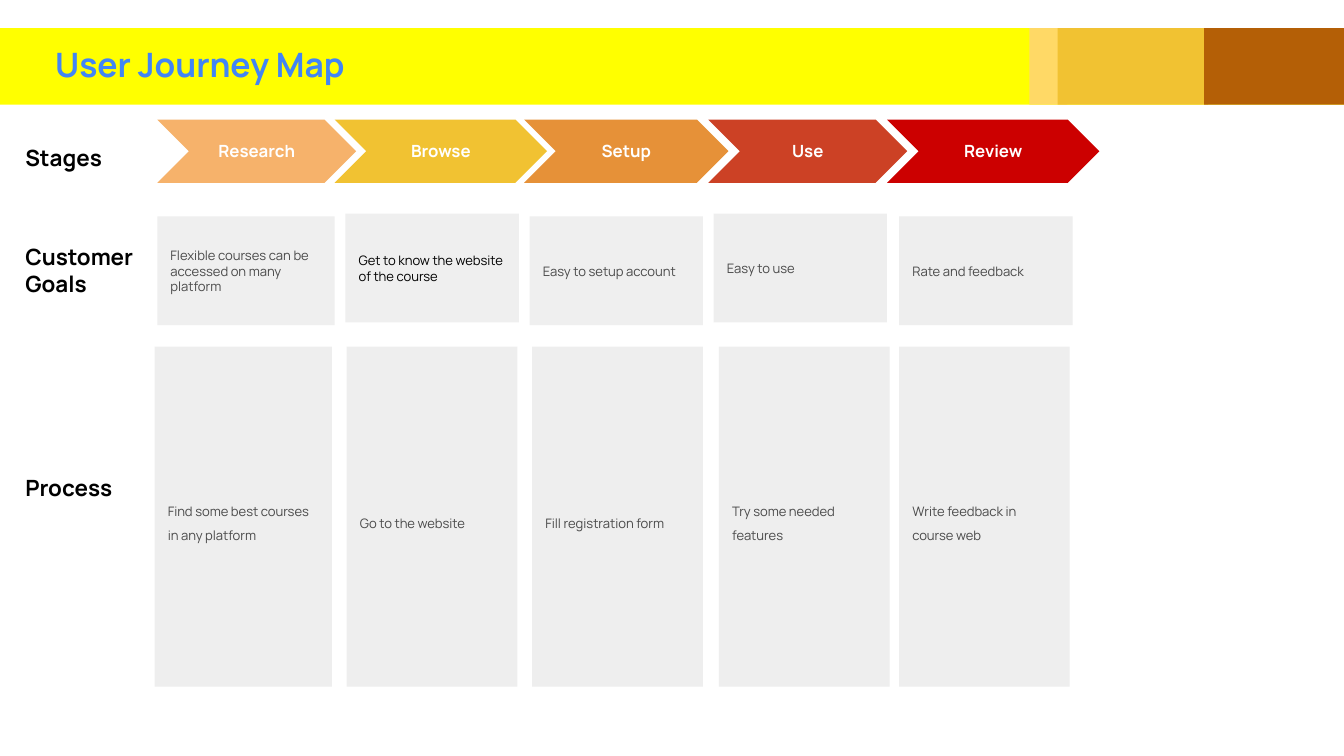
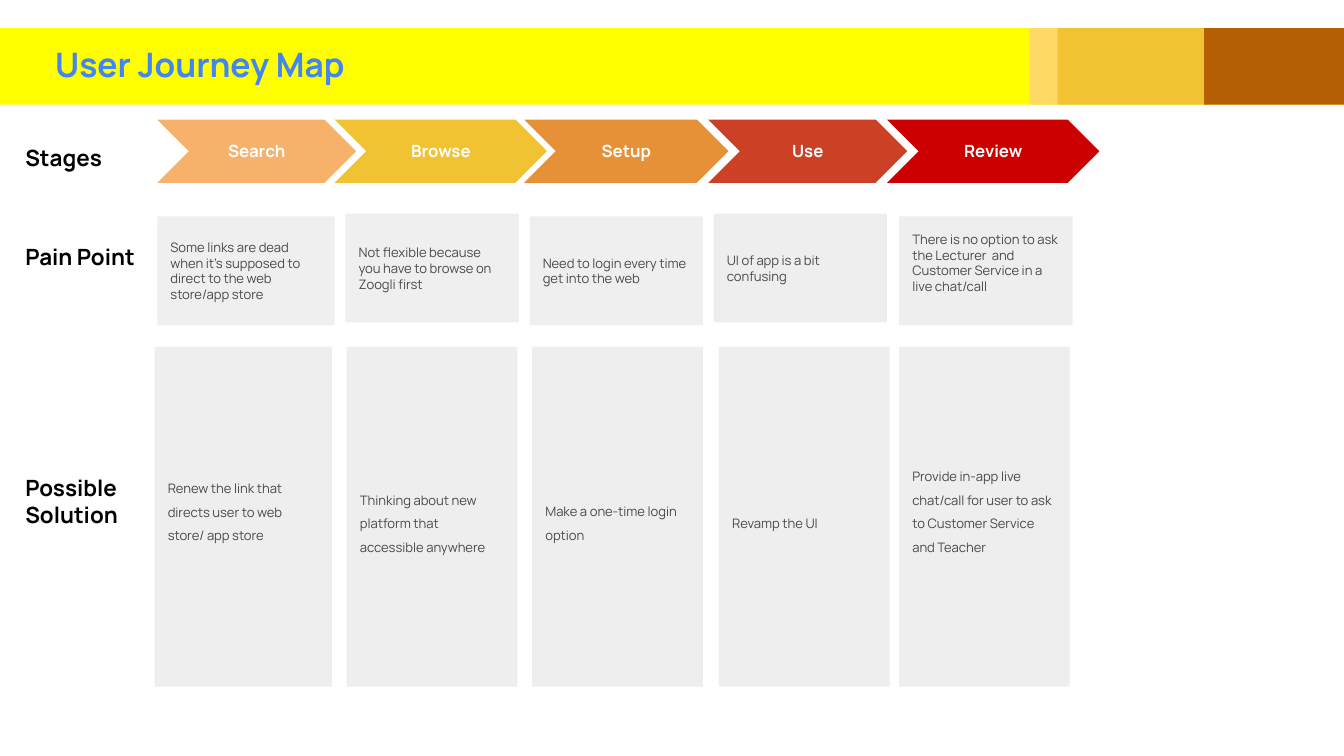
from pptx import Presentation
from pptx import util as u
from pptx.dml.color import RGBColor
from pptx.enum import shapes, text

FONT = "Manrope"
WHITE = RGBColor(0xFF, 0xFF, 0xFF)
BLACK = RGBColor(0x00, 0x00, 0x00)
GREY = RGBColor(0x4A, 0x4A, 0x4A)
CARD = RGBColor(0xEE, 0xEE, 0xEE)
LIGHT_CARD = RGBColor(0xEF, 0xEF, 0xEF)
BLUE = RGBColor(0x42, 0x85, 0xF4)
YELLOW = RGBColor(0xFF, 0xFF, 0x00)
CREAM = RGBColor(0xFF, 0xD9, 0x66)
GOLD = RGBColor(0xF1, 0xC2, 0x32)
BROWN = RGBColor(0xB4, 0x5F, 0x06)
PEACH = RGBColor(0xF6, 0xB2, 0x6B)
ORANGE = RGBColor(0xE6, 0x91, 0x38)
BRICK = RGBColor(0xCC, 0x41, 0x25)
RED = RGBColor(0xCC, 0x00, 0x00)

RECT = shapes.MSO_SHAPE.RECTANGLE
CHEVRON = shapes.MSO_SHAPE.CHEVRON
TOP, MIDDLE = text.MSO_ANCHOR.TOP, text.MSO_ANCHOR.MIDDLE
LEFT, CENTER = text.PP_ALIGN.LEFT, text.PP_ALIGN.CENTER

# Left edge and width of each column, row by row
STAGE_COLS = [(1.17, 1.48), (2.49, 1.58), (3.9, 1.52), (5.27, 1.48), (6.6, 1.58)]
GOAL_COLS = [(1.17, 1.32), (2.57, 1.29), (3.94, 1.29), (5.31, 1.29), (6.69, 1.29)]
PROCESS_COLS = [(1.15, 1.32), (2.58, 1.27), (3.96, 1.27), (5.35, 1.27), (6.69, 1.27)]
STAGE_TOP, STAGE_H = 0.89, 0.47
GOAL_TOPS, GOAL_H = [1.61, 1.59, 1.61, 1.59, 1.61], 0.81
PROCESS_TOP, PROCESS_H = 2.58, 2.53
LABEL_LEFT, LABEL_W = 0.09, 1.07
BAND_TOP, BAND_H = 0.21, 0.57

STAGE_FILLS = [PEACH, GOLD, ORANGE, BRICK, RED]
GOAL_FILLS = [LIGHT_CARD] * 3 + [CARD] * 2
BANDS = [(0, 10, YELLOW), (7.66, 0.28, CREAM), (7.87, 1.12, GOLD), (8.96, 1.04, BROWN)]

# Cards are (wording, extra space kept free below it)
SLIDES = [
    {
        "stages": ["Research", "Browse", "Setup", "Use", "Review"],
        "labels": [("Stages", 0.97, 0.54), ("Customer Goals", 1.71, 0.72), ("Process", 3.43, 0.61)],
        "goals": [
            ("Flexible courses can be accessed on many platform", 0),
            ("Get to know the website of the course", 0),
            ("Easy to setup account", 0),
            ("Easy to use", 0),
            ("Rate and feedback", 0),
        ],
        "goal_colors": [GREY, BLACK, GREY, GREY, GREY],
        "process": [
            ("Find some best courses in any platform", 0),
            ("Go to the website", 0),
            ("Fill registration form", 0),
            ("Try some needed features", 0),
            ("Write feedback in course web", 0),
        ],
    },
    {
        "stages": ["Search", "Browse", "Setup", "Use", "Review"],
        "labels": [("Stages", 0.97, 0.54), ("Pain Point", 1.71, 0.52), ("Possible Solution", 3.43, 0.81)],
        "goals": [
            ("Some links are dead when it’s supposed to direct to the web store/app store", 0),
            ("Not flexible because you have to browse on Zoogli first", 0),
            ("Need to login every time get into the web", 0),
            ("UI of app is a bit confusing", 0),
            ("There is no option to ask the Lecturer  and Customer Service in a live chat/call", 0.12),
        ],
        "goal_colors": [GREY] * 5,
        "process": [
            ("Renew the link that directs user to web store/ app store", 0.17),
            ("Thinking about new platform that accessible anywhere", 0),
            ("Make a one-time login option", 0),
            ("Revamp the UI", 0),
            ("Provide in-app live chat/call for user to ask to Customer Service and Teacher", 0.17),
        ],
    },
]


def add_block(s, kind, left, top, width, height, fill):
    sp = s.shapes.add_shape(kind, *map(u.Inches, (left, top, width, height)))
    sp.shadow.inherit = False
    sp.fill.solid()
    sp.fill.fore_color.rgb = fill
    sp.line.fill.background()
    return sp


def write(sp, words, size, color, bold=False, align=LEFT, anchor=MIDDLE,
          spacing=1.0, inset_top=0.1, inset_bottom=0.1):
    tf = sp.text_frame
    tf.word_wrap = True
    tf.auto_size = text.MSO_AUTO_SIZE.NONE
    tf.vertical_anchor = anchor
    tf.margin_left = tf.margin_right = u.Inches(0.1)
    tf.margin_top, tf.margin_bottom = u.Inches(inset_top), u.Inches(inset_bottom)
    p = tf.paragraphs[0]
    p.alignment, p.line_spacing = align, spacing
    r = p.add_run()
    r.text = words
    r.font.name, r.font.size, r.font.bold = FONT, u.Pt(size), bold
    r.font.color.rgb = color


prs = Presentation()
prs.slide_width = u.Inches(10)
prs.slide_height = prs.slide_width * 9 // 16

for content in SLIDES:
    s = prs.slides.add_slide(prs.slide_layouts[5])

    for words, (left, width), fill in zip(content["stages"], STAGE_COLS, STAGE_FILLS):
        sp = add_block(s, CHEVRON, left, STAGE_TOP, width, STAGE_H, fill)
        write(sp, words, 9, WHITE, bold=True, align=CENTER)

    for words, top, height in content["labels"]:
        sp = s.shapes.add_textbox(*map(u.Inches, (LABEL_LEFT, top, LABEL_W, height)))
        write(sp, words, 12, BLACK, bold=True, anchor=TOP)

    for (words, below), (left, width), top, fill, color in zip(
            content["goals"], GOAL_COLS, GOAL_TOPS, GOAL_FILLS, content["goal_colors"]):
        sp = add_block(s, RECT, left, top, width, GOAL_H, fill)
        write(sp, words, 7, color, inset_bottom=0.1 + below)

    for (words, below), (left, width) in zip(content["process"], PROCESS_COLS):
        sp = add_block(s, RECT, left, PROCESS_TOP, width, PROCESS_H, CARD)
        write(sp, words, 7, GREY, spacing=1.5, inset_top=0.14, inset_bottom=0.1 + below)

    for left, width, fill in BANDS:
        add_block(s, RECT, left, BAND_TOP, width, BAND_H, fill)

    title = s.shapes.title
    title.left, title.top, title.width, title.height = map(u.Inches, (0.31, 0.26, 6.54, 0.47))
    write(title, "User Journey Map", 18, BLUE, bold=True, anchor=TOP, spacing=0.9)
    title.element.getparent().append(title.element)  # bring in front of the bands

prs.save("out.pptx")
